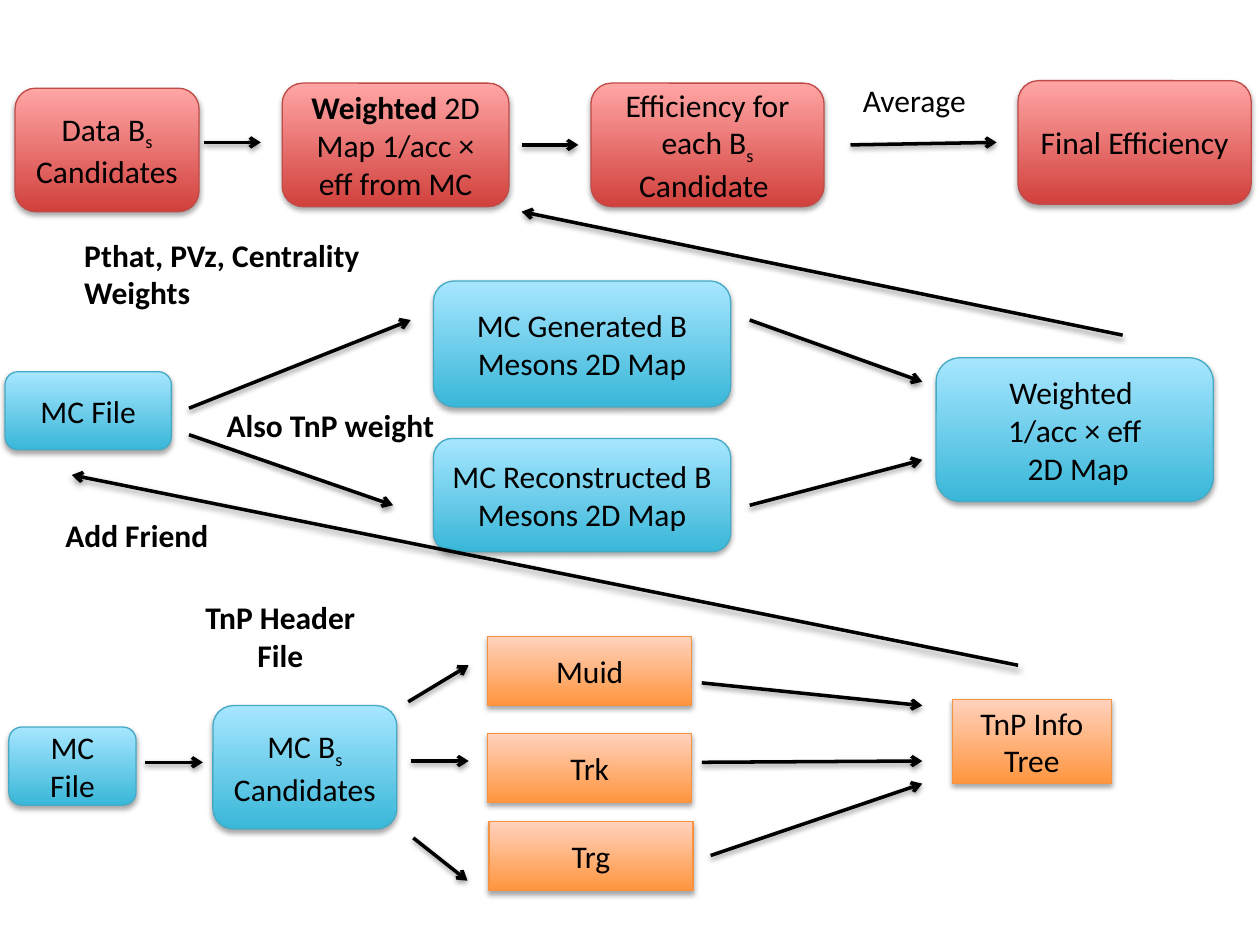
import pptx
import pptx.dml.color
import pptx.enum.shapes
import pptx.enum.text
import pptx.oxml
import pptx.oxml.ns
import pptx.util
from pptx.util import Inches

# Fill at the bottom, fill at the top, outline
RED = ("D1403C", "FFA6A5", "BF4C48")
BLUE = ("39B7D8", "A7E6FF", "46AAC5")
ORANGE = ("FF953E", "FFD2BD", "F69240")

B_S = ("B", "sub:s")

# Colours, left, top, width, height, paragraphs of runs
BOXES = [
    (RED, 0.12, 0.7, 1.46, 0.98, [["Data B", "sub:s", " Candidates"]]),
    (RED, 2.24, 0.66, 1.8, 0.98, [["bold:Weighted ", "2D Map 1/acc × eff from MC"]]),
    (RED, 4.69, 0.66, 1.85, 0.98, [["Efficiency for each B", "sub:s", " Candidate "]]),
    (RED, 8.08, 0.64, 1.85, 0.98, [["Final Efficiency"]]),
    (BLUE, 0.04, 2.95, 1.32, 0.62, [["MC File"]]),
    (BLUE, 3.44, 2.23, 2.36, 1, [["MC Generated B Mesons 2D Map"]]),
    (BLUE, 3.44, 3.48, 2.36, 0.9, [["MC Reconstructed B Mesons 2D Map"]]),
    (BLUE, 7.43, 2.84, 2.2, 1.14, [["Weighted "], ["1/acc × eff"], [" 2D Map"]]),
    (BLUE, 0.07, 5.77, 1.01, 0.62, [["MC File"]]),
    (BLUE, 1.69, 5.6, 1.46, 0.98, [["MC B", "sub:s", " Candidates"]]),
    (ORANGE, 3.87, 5.05, 1.62, 0.55, [["Muid"]]),
    (ORANGE, 3.87, 5.82, 1.62, 0.55, [["Trk"]]),
    (ORANGE, 3.88, 6.52, 1.62, 0.55, [["Trg"]]),
    (ORANGE, 7.56, 5.55, 1.26, 0.67, [["TnP Info Tree"]]),
]

# Start x, start y, end x, end y
ARROWS = [
    # Data row
    (1.62, 1.13, 2.07, 1.13),
    (4.14, 1.15, 4.59, 1.15),
    (6.75, 1.15, 7.91, 1.13),
    # Simulation row, and back up to the data row
    (1.5, 3.24, 3.26, 2.54),
    (1.5, 3.45, 3.12, 4.01),
    (5.95, 2.54, 7.32, 3.03),
    (5.95, 4.01, 7.32, 3.65),
    (8.91, 2.66, 4.14, 1.68),
    # TnP row, and back up to the simulation row
    (1.15, 6.05, 1.61, 6.05),
    (3.24, 5.57, 3.72, 5.28),
    (3.26, 6.04, 3.72, 6.04),
    (3.28, 6.65, 3.71, 6.99),
    (5.57, 5.42, 7.32, 5.6),
    (5.57, 6.05, 7.32, 6.04),
    (5.64, 6.79, 7.32, 6.22),
    (8.08, 5.28, 0.57, 3.77),
]

# Left, top, width, height, wrap, centred, paragraphs of runs
LABELS = [
    (6.75, 0.59, 1.04, 0.4, False, False, [["Average"]]),
    (0.57, 1.82, 2.51, 0.71, True, False, [["bold:Pthat, PVz, Centrality Weights"]]),
    (1.7, 3.17, 1.92, 0.4, True, False, [["bold:Also TnP weight"]]),
    (0.42, 4.05, 1.35, 0.4, False, False, [["bold:Add Friend"]]),
    (1.51, 4.7, 1.43, 0.71, True, True, [["bold:TnP Header "], ["bold:File"]]),
]


def rgb(value):
    return pptx.dml.color.RGBColor.from_string(value)


def add_shadow(sp, alpha, distance):
    """Put a soft shadow straight below a shape or connector."""
    sp._element.spPr.append(pptx.oxml.parse_xml(
        f'<a:effectLst {pptx.oxml.ns.nsdecls("a")}>'
        f'<a:outerShdw blurRad="{pptx.util.Pt(3.1)}" dist="{pptx.util.Pt(distance)}" '
        'dir="5400000" rotWithShape="0">'
        f'<a:srgbClr val="000000"><a:alpha val="{alpha * 1000}"/></a:srgbClr>'
        '</a:outerShdw></a:effectLst>'))


def write_text(tf, paragraphs, centred):
    """Fill a frame; a run may start with "bold:" or "sub:" to set its style."""
    for i, runs in enumerate(paragraphs):
        p = tf.paragraphs[0] if i == 0 else tf.add_paragraph()
        align = pptx.enum.text.PP_ALIGN
        p.alignment = align.CENTER if centred else align.LEFT
        for run in runs:
            r = p.add_run()
            r.text = run.removeprefix("bold:").removeprefix("sub:")
            r.font.name = "Calibri"
            r.font.size = pptx.util.Pt(18)
            r.font.bold = run.startswith("bold:")
            r.font.color.rgb = rgb("000000")
            if run.startswith("sub:"):
                r._r.get_or_add_rPr().set("baseline", "-25000")


def add_box(s, colours, left, top, width, height, paragraphs):
    bottom, top_colour, outline = colours
    sp = s.shapes.add_shape(
        pptx.enum.shapes.MSO_SHAPE.ROUNDED_RECTANGLE,
        Inches(left), Inches(top), Inches(width), Inches(height))
    if colours is ORANGE:
        sp.adjustments[0] = 0
    sp.fill.gradient()
    sp.fill.gradient_angle = 90
    for stop, colour in zip(sp.fill.gradient_stops, (bottom, top_colour)):
        stop.color.rgb = rgb(colour)
    sp.line.color.rgb = rgb(outline)
    sp.line.width = pptx.util.Pt(0.75)
    add_shadow(sp, 35, 1.8)
    tf = sp.text_frame
    tf.word_wrap = True
    tf.vertical_anchor = pptx.enum.text.MSO_ANCHOR.MIDDLE
    write_text(tf, paragraphs, True)


def add_arrow(s, x1, y1, x2, y2):
    line = s.shapes.add_connector(
        pptx.enum.shapes.MSO_CONNECTOR.STRAIGHT,
        Inches(x1), Inches(y1), Inches(x2), Inches(y2))
    line.line.color.rgb = rgb("000000")
    line.line.width = pptx.util.Pt(2)
    line.line._get_or_add_ln().append(pptx.oxml.parse_xml(
        f'<a:tailEnd {pptx.oxml.ns.nsdecls("a")} type="arrow"/>'))
    add_shadow(line, 38, 1.6)


def add_label(s, left, top, width, height, wrap, centred, paragraphs):
    sp = s.shapes.add_textbox(
        Inches(left), Inches(top), Inches(width), Inches(height))
    tf = sp.text_frame
    tf.word_wrap = wrap
    tf.auto_size = pptx.enum.text.MSO_AUTO_SIZE.SHAPE_TO_FIT_TEXT
    write_text(tf, paragraphs, centred)


def main():
    prs = pptx.Presentation()
    prs.slide_width = Inches(10)
    prs.slide_height = Inches(7.5)
    s = prs.slides.add_slide(prs.slide_layouts.get_by_name("Blank"))
    for box in BOXES:
        add_box(s, *box)
    for arrow in ARROWS:
        add_arrow(s, *arrow)
    for label in LABELS:
        add_label(s, *label)
    prs.save("out.pptx")


if __name__ == "__main__":
    main()
